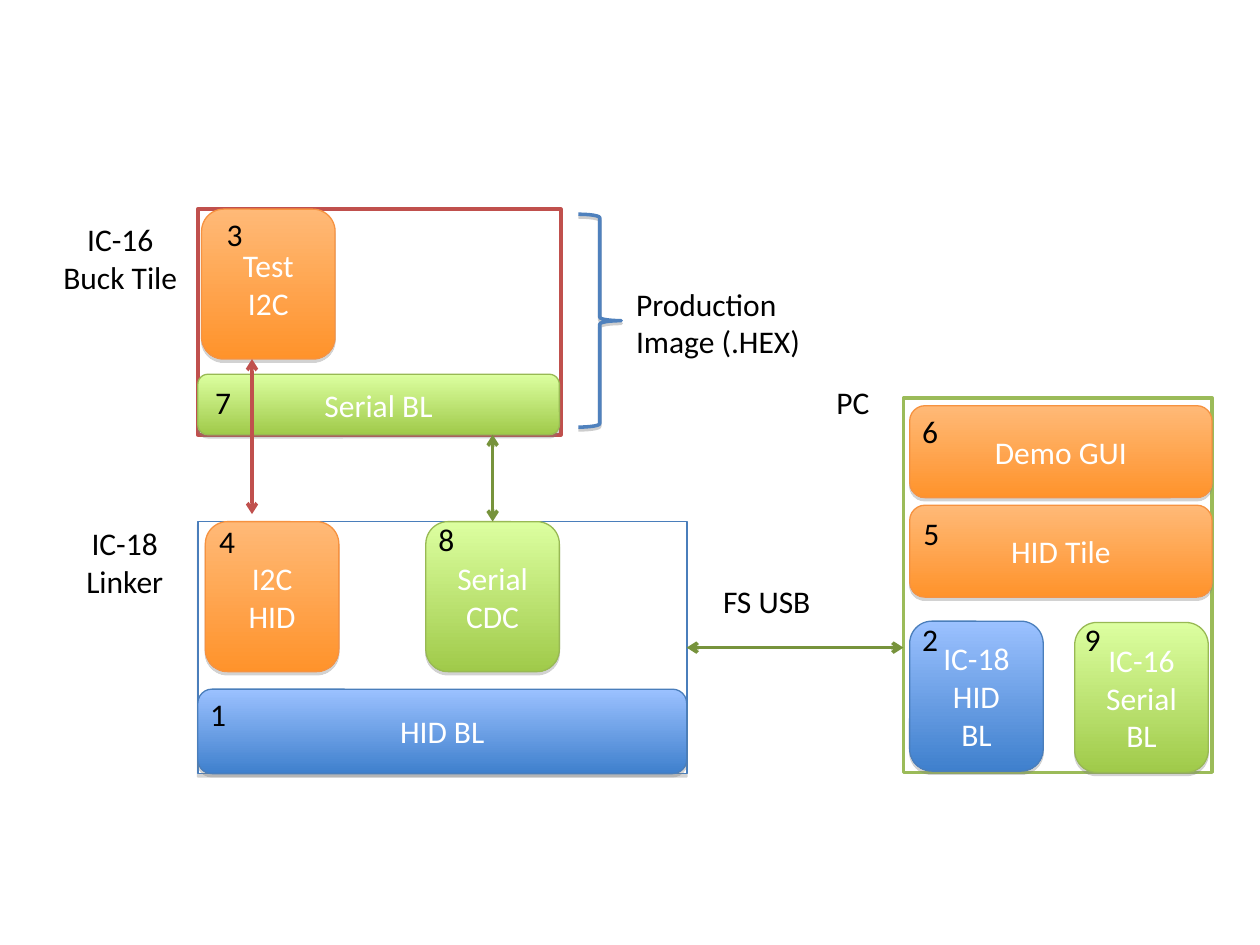
import pptx
import pptx.dml.color
import pptx.enum.shapes
import pptx.enum.text
import pptx.oxml
import pptx.oxml.ns
import pptx.util

RGB = pptx.dml.color.RGBColor
SHAPE = pptx.enum.shapes.MSO_SHAPE
ALIGN = pptx.enum.text.PP_ALIGN

PX = 9144  # EMU per px, 100 px to the inch
FONT = "Calibri"
WHITE = RGB(0xFF, 0xFF, 0xFF)
BLACK = RGB(0x00, 0x00, 0x00)
RED = RGB(0xC0, 0x50, 0x4D)
BLUE = RGB(0x4A, 0x7E, 0xBB)
BRACE_BLUE = RGB(0x4F, 0x81, 0xBD)
GREEN = RGB(0x9B, 0xBB, 0x59)
DARK_GREEN = RGB(0x77, 0x93, 0x3C)

# Gradient top, gradient bottom, outline
ORANGE_BLOCK = RGB(0xFF, 0xB9, 0x77), RGB(0xFF, 0x93, 0x2B), RGB(0xF6, 0x92, 0x40)
GREEN_BLOCK = RGB(0xDC, 0xFF, 0xA0), RGB(0xA0, 0xCA, 0x4A), RGB(0x98, 0xB9, 0x54)
BLUE_BLOCK = RGB(0x9B, 0xC1, 0xFF), RGB(0x3F, 0x80, 0xCD), BLUE

SQUARE = (106, 119)
PC_BAR = (240, 73)


def lengths(*values):
    return [pptx.util.Emu(value * PX) for value in values]


def add_xml(parent, tag, **attributes):
    child = pptx.oxml.parse_xml(f"<a:{tag} {pptx.oxml.ns.nsdecls('a')}/>")
    for name, value in attributes.items():
        child.set(name, str(value))
    parent.append(child)
    return child


def add_shadow(shape, alpha=35, distance=1.8):
    effects = shape._element.spPr.find(pptx.oxml.ns.qn("a:effectLst"))
    outer = add_xml(effects, "outerShdw", blurRad=0,
                    dist=int(pptx.util.Pt(distance)), dir=5400000, rotWithShape=0)
    color = add_xml(outer, "srgbClr", val="808080")
    add_xml(color, "alpha", val=alpha * 1000)


def write_text(frame, text, color=BLACK, align=ALIGN.LEFT, size=18):
    frame.text = text
    for paragraph in frame.paragraphs:
        paragraph.alignment = align
        paragraph.font.name = FONT
        paragraph.font.size = pptx.util.Pt(size)
        paragraph.font.color.rgb = color


def add_outline(slide, kind, box, color, width):
    shape = slide.shapes.add_shape(kind, *lengths(*box))
    shape.shadow.inherit = False
    shape.line.color.rgb = color
    shape.line.width = pptx.util.Pt(width)
    return shape


def add_frame(slide, box, color, width):
    frame = add_outline(slide, SHAPE.RECTANGLE, box, color, width)
    frame.fill.solid()
    frame.fill.fore_color.rgb = WHITE
    return frame


def add_block(slide, text, box, palette):
    top, bottom, outline = palette
    block = add_outline(slide, SHAPE.ROUNDED_RECTANGLE, box, outline, 0.75)
    block.fill.gradient()
    block.fill.gradient_angle = 270
    for stop, color, position in zip(block.fill.gradient_stops, (top, bottom), (0, 1)):
        stop.color.rgb = color
        stop.position = position
    add_shadow(block)
    block.text_frame.word_wrap = True
    block.text_frame.vertical_anchor = pptx.enum.text.MSO_ANCHOR.MIDDLE
    write_text(block.text_frame, text, color=WHITE, align=ALIGN.CENTER)
    return block


def add_label(slide, text, box, align=ALIGN.LEFT):
    frame = slide.shapes.add_textbox(*lengths(*box)).text_frame
    frame.word_wrap = False
    frame.auto_size = pptx.enum.text.MSO_AUTO_SIZE.SHAPE_TO_FIT_TEXT
    write_text(frame, text, align=align)


def add_double_arrow(slide, ends, color):
    arrow = slide.shapes.add_connector(
        pptx.enum.shapes.MSO_CONNECTOR.STRAIGHT, *lengths(*ends))
    arrow.line.color.rgb = color
    arrow.line.width = pptx.util.Pt(2)
    line = arrow.line._get_or_add_ln()
    add_xml(line, "headEnd", type="arrow")
    add_xml(line, "tailEnd", type="arrow")
    add_xml(arrow._element.spPr, "effectLst")
    return arrow


def add_brace(slide, box):
    brace = add_outline(slide, SHAPE.RIGHT_BRACE, box, BRACE_BLUE, 2)
    brace.adjustments[0] = 0.08
    brace.fill.background()
    add_shadow(brace, alpha=38, distance=1.6)


def main():
    deck = pptx.Presentation()
    deck.slide_width, deck.slide_height = lengths(1000, 750)
    slide = deck.slides.add_slide(deck.slide_layouts[6])

    add_frame(slide, (157, 166, 288, 179), RED, 2.25)
    linker = add_frame(slide, (157, 414, 388, 200), BLUE, 1)
    add_shadow(linker)
    add_frame(slide, (717, 316, 245, 297), GREEN, 2)

    for text, box, palette in (
        ("HID BL", (157, 547, 388, 67), BLUE_BLOCK),
        ("Serial BL", (157, 297, 287, 48), GREEN_BLOCK),
        ("I2C\nHID", (163, 414, *SQUARE), ORANGE_BLOCK),
        ("Test\nI2C", (160, 166, *SQUARE), ORANGE_BLOCK),
        ("IC-16 Serial BL", (853, 494, *SQUARE), GREEN_BLOCK),
        ("IC-18 HID\nBL", (722, 493, *SQUARE), BLUE_BLOCK),
        ("Demo GUI", (722, 322, *PC_BAR), ORANGE_BLOCK),
        ("HID Tile", (722, 401, *PC_BAR), ORANGE_BLOCK),
    ):
        add_block(slide, text, box, palette)
    serial_cdc = add_block(slide, "Serial CDC", (338, 414, *SQUARE), GREEN_BLOCK)

    serial_link = add_double_arrow(slide, (391, 345, 391, 414), DARK_GREEN)
    serial_link.end_connect(serial_cdc, 0)
    usb_link = add_double_arrow(slide, (545, 514, 717, 514), DARK_GREEN)
    usb_link.begin_connect(linker, 3)
    add_double_arrow(slide, (200, 285, 200, 408), RED)
    add_brace(slide, (459, 170, 34, 169))

    add_label(slide, "IC-16\nBuck Tile", (35, 170, 121, 70), ALIGN.CENTER)
    add_label(slide, "IC-18\nLinker", (55, 411, 88, 70), ALIGN.CENTER)
    add_label(slide, "FS USB", (564, 457, 90, 40))
    add_label(slide, "PC", (654, 299, 46, 40))
    add_label(slide, "Production\nImage (.HEX)", (495, 221, 150, 70))
    for number, left, top in (
        (1, 157, 547), (2, 722, 487), (3, 170, 166),
        (4, 164, 409), (5, 723, 403), (6, 722, 322),
        (7, 161, 299), (8, 338, 408), (9, 851, 487),
    ):
        add_label(slide, str(number), (left, top, 32, 40))

    deck.save("out.pptx")


if __name__ == "__main__":
    main()
